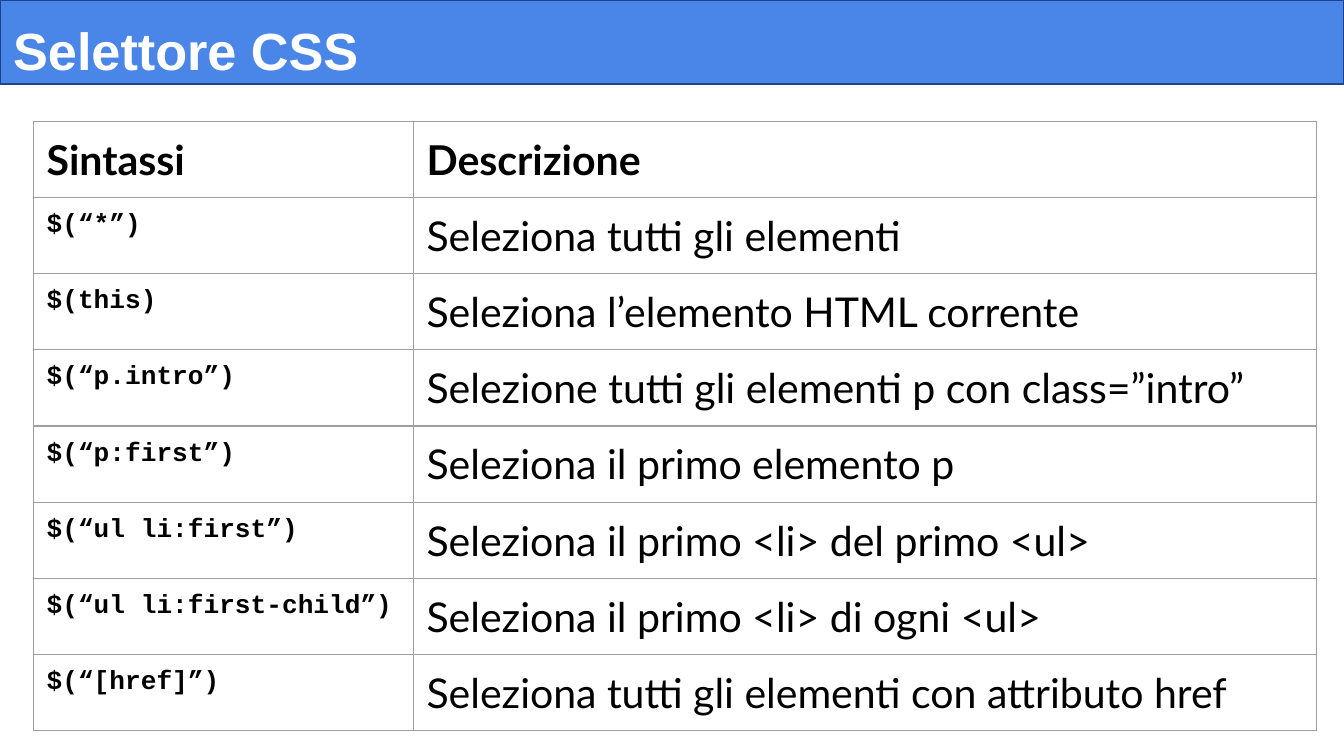
from lxml import etree
from pptx import Presentation
from pptx.dml.color import RGBColor
from pptx.enum.shapes import MSO_SHAPE
from pptx.enum.text import MSO_ANCHOR, PP_ALIGN
from pptx.oxml.ns import qn
from pptx.util import Pt

RECT = MSO_SHAPE.RECTANGLE
TOP = MSO_ANCHOR.TOP
LEFT = PP_ALIGN.LEFT

COLORS = {"bar": "4A86E8", "edge": "1C4587", "grid": "9E9E9E",
          "white": "FFFFFF", "black": "000000"}
TITLE = {"name": "Arial", "size": Pt(28), "bold": True}
HEAD = {"name": "Lato", "size": Pt(22), "bold": True}
BODY = {"name": "Lato", "size": Pt(22), "bold": False}
CODE = {"name": "Courier New", "size": Pt(14), "bold": True}

ROWS = [
    ("Sintassi", "Descrizione"),
    ("$(“*”)", "Seleziona tutti gli elementi"),
    ("$(this)", "Seleziona l’elemento HTML corrente"),
    ("$(“p.intro”)", "Selezione tutti gli elementi p con class=”intro”"),
    ("$(“p:first”)", "Seleziona il primo elemento p"),
    ("$(“ul li:first”)", "Seleziona il primo <li> del primo <ul>"),
    ("$(“ul li:first-child”)", "Seleziona il primo <li> di ogni <ul>"),
    ("$(“[href]”)", "Seleziona tutti gli elementi con attributo href"),
]


def rgb(name):
    return RGBColor.from_string(COLORS[name])


class Deck:
    """Holds the slide and the shared style."""
    pad = Pt(7.2)
    stroke = Pt(0.75)

    def __init__(self, slide):
        self.slide = slide

    def inset(self, box):
        for side in ("left", "top", "right", "bottom"):
            setattr(box, f"margin_{side}", self.pad)

    def label(self, frame, text, style, color):
        para = frame.paragraphs[0]
        para.alignment = LEFT
        run = para.add_run()
        run.text = text
        for key, value in style.items():
            setattr(run.font, key, value)
        run.font.color.rgb = rgb(color)

    def banner(self, text, width, height):
        bar = self.slide.shapes.add_shape(RECT, 0, 0, width, height)
        bar.shadow.inherit = False
        bar.fill.solid()
        bar.fill.fore_color.rgb = rgb("bar")
        bar.line.color.rgb = rgb("edge")
        bar.line.width = self.stroke
        frame = bar.text_frame
        frame.word_wrap = True
        frame.vertical_anchor = TOP
        self.inset(frame)
        frame.margin_top = Pt(10)
        self.label(frame, text, TITLE, "white")

    def border(self, cell):
        """Draw the four sides; they must precede the fill in the XML."""
        props = cell._tc.get_or_add_tcPr()
        for spot, side in enumerate(("lnL", "lnR", "lnT", "lnB")):
            line = etree.Element(qn(f"a:{side}"), w=str(self.stroke))
            fill = etree.SubElement(line, qn("a:solidFill"))
            etree.SubElement(fill, qn("a:srgbClr"), val=COLORS["grid"])
            props.insert(spot, line)

    def table(self, rows, left, top, widths, height):
        grid = self.slide.shapes.add_table(
            len(rows), len(widths), left, top,
            sum(widths), height * len(rows)).table
        grid.first_row = grid.horz_banding = False
        for col, width in zip(grid.columns, widths):
            col.width = width
        for r, row in enumerate(rows):
            grid.rows[r].height = height
            styles = (CODE, BODY) if r else (HEAD, HEAD)
            for c, (text, style) in enumerate(zip(row, styles)):
                cell = grid.cell(r, c)
                cell.fill.background()
                cell.vertical_anchor = TOP
                self.inset(cell)
                self.border(cell)
                self.label(cell.text_frame, text, style, "black")


def main():
    prs = Presentation()
    prs.slide_width, prs.slide_height = Pt(720), Pt(405)
    deck = Deck(prs.slides.add_slide(prs.slide_layouts[6]))
    deck.banner("Selettore CSS", prs.slide_width, Pt(45))
    deck.table(ROWS, Pt(17.8), Pt(64.9), (Pt(203.6), Pt(484)), Pt(30.24))
    prs.save("out.pptx")


if __name__ == "__main__":
    main()
